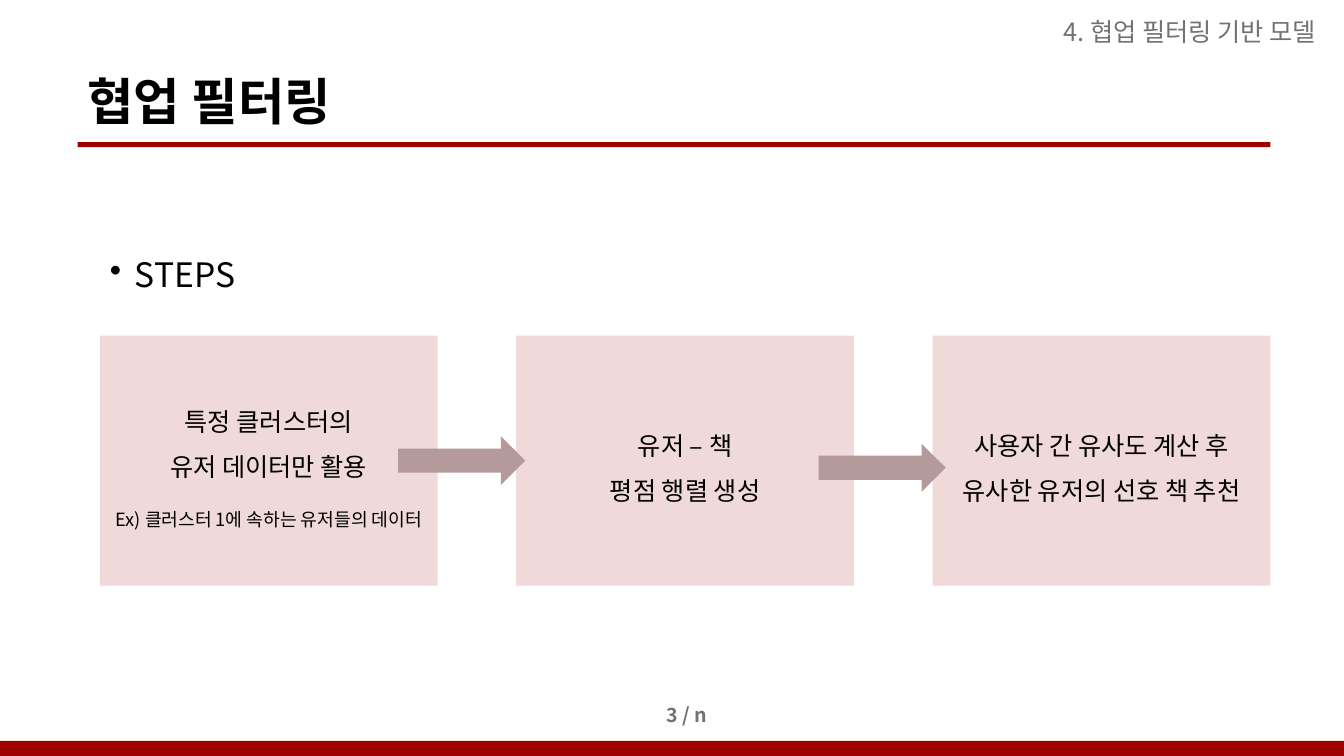
from dataclasses import dataclass
from typing import Optional

from lxml import etree
from pptx import Presentation, util as u
from pptx.dml.color import RGBColor
from pptx.enum import shapes, text
from pptx.oxml import ns

FONT = "Noto Sans CJK KR"
RED, GREY, BLACK, MAUVE = "9F0000", "767171", "000000", "B49A9A"
W, H = u.Inches(13.33), u.Inches(7.5)
LEFT, MID = text.PP_ALIGN.LEFT, text.PP_ALIGN.CENTER
TOP, CENTRE, BOTTOM = text.MSO_ANCHOR.TOP, text.MSO_ANCHOR.MIDDLE, text.MSO_ANCHOR.BOTTOM


@dataclass
class Area:
    """A rectangle in percent of the slide's width and height."""
    x: float
    y: float
    w: float
    h: float

    def emu(self) -> tuple[int, int, int, int]:
        """Return left, top, width and height in EMU."""
        return (int(W * self.x / 100), int(H * self.y / 100),
                int(W * self.w / 100), int(H * self.h / 100))


@dataclass
class Line:
    """One paragraph of text with its look."""
    words: str
    size: float = 18
    color: str = BLACK
    bold: bool = False
    align: text.PP_ALIGN = LEFT
    leading: float = 1.0
    before: float = 0
    tracking: float = 0
    bullet: bool = False


@dataclass
class Label:
    """A text box."""
    area: Area
    line: Line
    anchor: text.MSO_ANCHOR = TOP


@dataclass
class Block:
    """A filled preset shape."""
    area: Area
    color: str = RED
    kind: shapes.MSO_SHAPE = shapes.MSO_SHAPE.RECTANGLE
    alpha: Optional[int] = None


def rgb(value: str) -> RGBColor:
    """Turn a hex string into a colour."""
    return RGBColor.from_string(value)


def add_lines(tf, lines: list[Line], anchor: text.MSO_ANCHOR) -> None:
    """Write the paragraphs into a text frame."""
    tf.word_wrap = True
    tf.vertical_anchor = anchor
    for i, line in enumerate(lines):
        p = tf.add_paragraph() if i else tf.paragraphs[0]
        p.alignment, p.line_spacing = line.align, line.leading
        if line.before:
            p.space_before = u.Pt(line.before)
        if line.bullet:
            pPr = p._p.get_or_add_pPr()
            pPr.set("marL", str(u.Inches(0.25)))
            pPr.set("indent", str(-u.Inches(0.25)))
            etree.SubElement(pPr, ns.qn("a:buChar")).set("char", "•")
        r = p.add_run()
        r.text = line.words
        r.font.size, r.font.bold, r.font.name = u.Pt(line.size), line.bold, FONT
        r.font.color.rgb = rgb(line.color)
        rPr = r._r.get_or_add_rPr()
        etree.SubElement(rPr, ns.qn("a:ea")).set("typeface", FONT)
        if line.tracking:
            rPr.set("spc", str(int(line.tracking * 100)))


def add_label(s, label: Label) -> None:
    """Place a text box."""
    sp = s.shapes.add_textbox(*label.area.emu())
    add_lines(sp.text_frame, [label.line], label.anchor)


def add_block(s, block: Block):
    """Place a flat shape without outline and return it."""
    sp = s.shapes.add_shape(block.kind, *block.area.emu())
    sp.shadow.inherit = False
    sp.line.fill.background()
    sp.fill.solid()
    sp.fill.fore_color.rgb = rgb(block.color)
    if block.alpha is not None:
        clr = sp._element.spPr.find(".//" + ns.qn("a:srgbClr"))
        etree.SubElement(clr, ns.qn("a:alpha")).set("val", str(block.alpha * 1000))
    return sp


def step(words: str, size: float = 18, before: float = 0) -> Line:
    """Make a centred line of a step box."""
    return Line(words, size, align=MID, leading=1.5, before=before)


BARS = [Block(Area(0, 98, 100, 2)), Block(Area(5.78, 18.8, 88.75, 0.67))]
STEPS = [
    [step("특정 클러스터의"), step("유저 데이터만 활용"),
     step("Ex) 클러스터 1에 속하는 유저들의 데이터", 13, 11)],
    [step("유저 – 책"), step("평점 행렬 생성")],
    [step("사용자 간 유사도 계산 후"), step("유사한 유저의 선호 책 추천")],
]
STEP_X, STEP_PITCH = 7.43, 30.98
ARROWS = [Block(Area(x, y, 9.45, 6.4), MAUVE, shapes.MSO_SHAPE.RIGHT_ARROW)
          for x, y in ((29.63, 57.73), (60.92, 58.67))]
LABELS = [
    Label(Area(45.24, 92.27, 11.7, 4.4),
          Line("3/n", 14, GREY, True, MID, tracking=3)),
    Label(Area(STEP_X, 30.27, 17.85, 8.4),
          Line("STEPS", 24, leading=1.5, bullet=True)),
    Label(Area(5.78, 2.53, 87.4, 15.47),
          Line("협업 필터링", 36, bold=True, leading=0.9), BOTTOM),
    Label(Area(78.39, 0, 21.6, 6.93),
          Line("4. 협업 필터링 기반 모델", color=GREY, leading=0.9), BOTTOM),
]


def main() -> None:
    """Build the slide and save it."""
    prs = Presentation()
    prs.slide_width, prs.slide_height = W, H
    s = prs.slides.add_slide(prs.slide_layouts[6])
    for bar in BARS:
        add_block(s, bar)
    for i, lines in enumerate(STEPS):
        area = Area(STEP_X + i * STEP_PITCH, 44.4, 25.13, 33.07)
        sp = add_block(s, Block(area, alpha=15))
        add_lines(sp.text_frame, lines, CENTRE)
    for label in LABELS:
        add_label(s, label)
    for arrow in ARROWS:
        add_block(s, arrow)
    prs.save("out.pptx")


if __name__ == "__main__":
    main()
